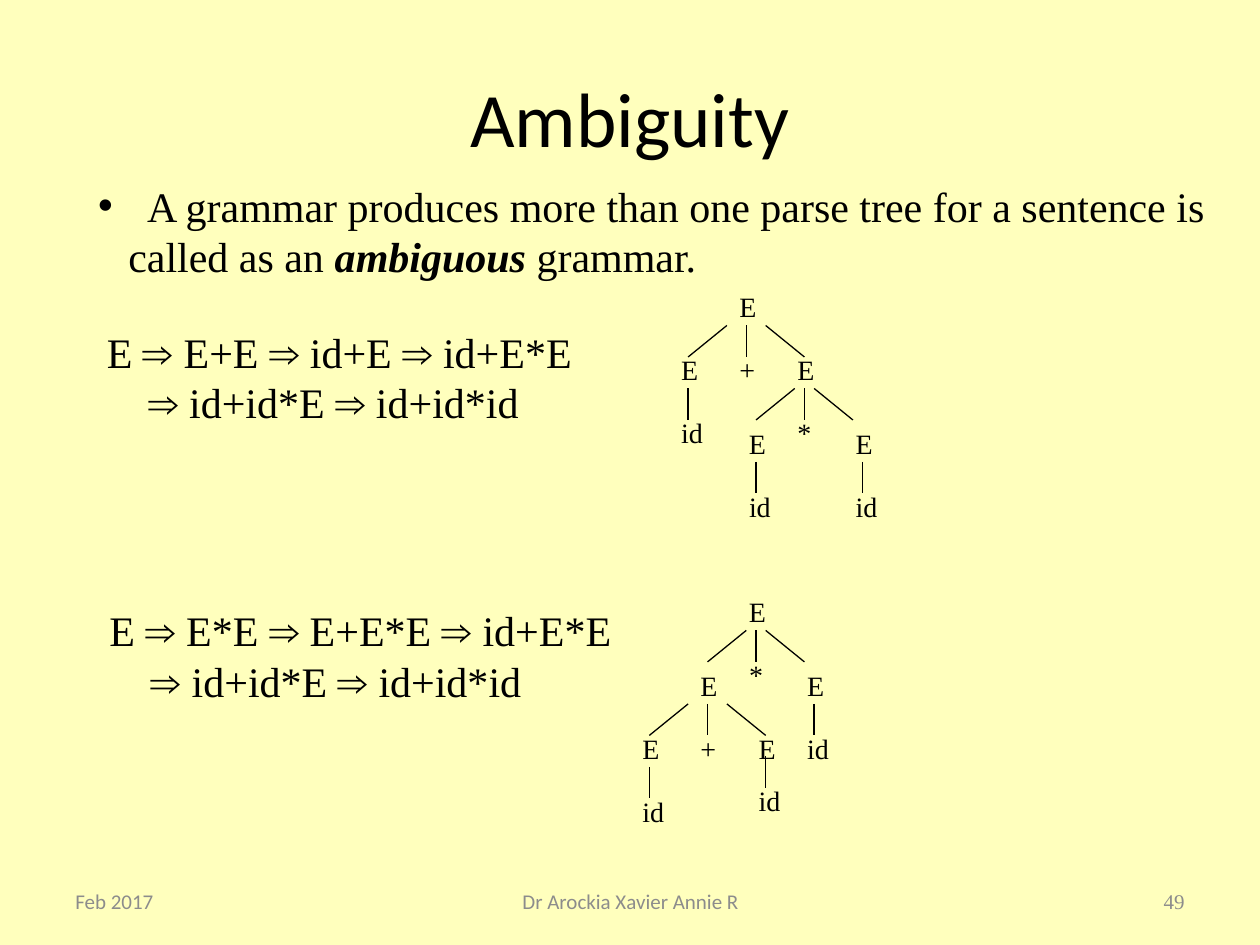
from lxml import etree
from pptx import Presentation
from pptx.dml.color import RGBColor
from pptx.enum.shapes import MSO_CONNECTOR
from pptx.enum.text import MSO_ANCHOR, PP_ALIGN
from pptx.oxml.ns import qn
from pptx.util import Inches, Pt

STRAIGHT = MSO_CONNECTOR.STRAIGHT
MIDDLE, TOP = MSO_ANCHOR.MIDDLE, MSO_ANCHOR.TOP
LEFT, CENTER, RIGHT = PP_ALIGN.LEFT, PP_ALIGN.CENTER, PP_ALIGN.RIGHT
CREAM = RGBColor(0xFF, 0xFF, 0xBD)
BLACK = RGBColor(0, 0, 0)
GRAY = RGBColor(0x8C, 0x8C, 0x8C)
SANS, SERIF = "Calibri", "Times New Roman"

TITLE = "Ambiguity"
DEFINITION = [
    ["A grammar produces more than one parse tree for a sentence is"],
    ["called as an ", "ambiguous", " grammar."],
]
DERIVATIONS = [
    (0.75, 2.54, 4.27, ["E ⇒ E+E ⇒ id+E ⇒ id+E*E", "⇒ id+id*E ⇒ id+id*id"]),
    (0.77, 4.75, 4.57, ["E ⇒ E*E ⇒ E+E*E ⇒ id+E*E", "⇒ id+id*E ⇒ id+id*id"]),
]
FOOTERS = [
    ("Feb 2017", 0.5, 2.33, LEFT, SANS),
    ("Dr Arockia Xavier Annie R", 3.42, 3.17, CENTER, SANS),
    ("49", 7.17, 2.33, RIGHT, SERIF),
]

# Nodes: label, column, row. Forks: centre column, row, gap beside the centre. Stems: column, row.
TREES = [
    {
        "top": 2.25,
        "nodes": [("E", 5, 0), ("E", 2, 6), ("+", 5, 6), ("E", 8, 6), ("id", 2, 12),
                  ("*", 8, 12), ("E", 5.5, 13), ("E", 11, 13), ("id", 5.5, 19), ("id", 11, 19)],
        "forks": [(6, 4, 1), (9, 10, 0.5)],
        "stems": [(3, 10), (6.5, 17), (12, 17)],
    },
    {
        "top": 4.67,
        "nodes": [("E", 5.5, 0), ("*", 5.5, 6), ("E", 3, 7), ("E", 8.5, 7), ("E", 0, 13),
                  ("+", 3, 13), ("E", 6, 13), ("id", 8.5, 13), ("id", 6, 18), ("id", 0, 19)],
        "forks": [(6.5, 4, 0.5), (4, 11, 1)],
        "stems": [(9.5, 11), (7, 16), (1, 17)],
    },
]
TREE_LEFT = 5
COLUMN, ROW = 2 / 13, 1 / 12
BRANCH_COLUMNS, BRANCH_ROWS = 2, 3
LABEL_WIDTHS = {"E": 0.34, "id": 0.38, "+": 0.33, "*": 0.31}


def format_paragraph(paragraph, size, font, color, align=LEFT):
    paragraph.alignment = align
    for run in paragraph.runs:
        run.font.size = Pt(size)
        run.font.name = font
        run.font.color.rgb = color


def add_text(shapes, box, lines, size, font=SERIF, color=BLACK, align=LEFT, anchor=TOP, wrap=True):
    text_frame = shapes.add_textbox(*map(Inches, box)).text_frame
    text_frame.word_wrap = wrap
    text_frame.vertical_anchor = anchor
    text_frame.text = "\n".join(lines)
    for paragraph in text_frame.paragraphs:
        format_paragraph(paragraph, size, font, color, align)
    return text_frame


def indent(paragraph, margin, hanging=0, bullet=None):
    properties = paragraph._p.get_or_add_pPr()
    properties.set("marL", str(Inches(margin)))
    properties.set("indent", str(-Inches(hanging)))
    if bullet:
        etree.SubElement(properties, qn("a:buFont")).set("typeface", "Arial")
        etree.SubElement(properties, qn("a:buChar")).set("char", bullet)


def add_definition(shapes):
    text_frame = add_text(shapes, (0.68, 1.38, 9.02, 0.91), [""] * len(DEFINITION), 24)
    first, second = text_frame.paragraphs
    indent(first, 0.39, 0.39, "•")
    indent(second, 0.24)
    for paragraph, pieces in zip(text_frame.paragraphs, DEFINITION):
        for piece in pieces:
            paragraph.add_run().text = piece
        format_paragraph(paragraph, 24, SERIF, BLACK)
    emphasis = second.runs[1].font
    emphasis.bold = emphasis.italic = True


def add_tree(slide, tree):
    shapes = slide.shapes.add_group_shape().shapes

    def place(column, row):
        return TREE_LEFT + column * COLUMN, tree["top"] + row * ROW

    def add_branch(start, end, row):
        ends = place(start, row) + place(end, row + BRANCH_ROWS)
        line = shapes.add_connector(STRAIGHT, *map(Inches, ends))
        line.line.color.rgb = BLACK
        line.line.width = Pt(0.75)
        etree.SubElement(line._element.spPr, qn("a:effectLst"))

    for column, row in tree["stems"]:
        add_branch(column, column, row)
    for center, row, gap in tree["forks"]:
        add_branch(center, center, row)
        for side in (-1, 1):
            start = center + side * gap
            add_branch(start, start + side * BRANCH_COLUMNS, row)
    for label, column, row in tree["nodes"]:
        box = (*place(column, row), LABEL_WIDTHS[label], 0.37)
        add_text(shapes, box, [label], 16, wrap=False)


def main():
    presentation = Presentation()
    presentation.slide_width, presentation.slide_height = Inches(10), Inches(7.5)
    slide = presentation.slides.add_slide(presentation.slide_layouts[5])
    slide.background.fill.solid()
    slide.background.fill.fore_color.rgb = CREAM

    title = slide.shapes.title
    title.left, title.top, title.width, title.height = map(Inches, (0.5, 0.3, 9, 1.25))
    title.text_frame.text = TITLE
    title.text_frame.vertical_anchor = MIDDLE
    format_paragraph(title.text_frame.paragraphs[0], 44, SANS, BLACK, CENTER)

    add_definition(slide.shapes)
    for left, top, width, lines in DERIVATIONS:
        text_frame = add_text(slide.shapes, (left, top, width, 0.91), lines, 24)
        indent(text_frame.paragraphs[1], 0.33)
    for tree in TREES:
        add_tree(slide, tree)
    for text, left, width, align, font in FOOTERS:
        add_text(slide.shapes, (left, 6.95, width, 0.4), [text], 12, font, GRAY, align, MIDDLE)

    presentation.save("out.pptx")


if __name__ == "__main__":
    main()
